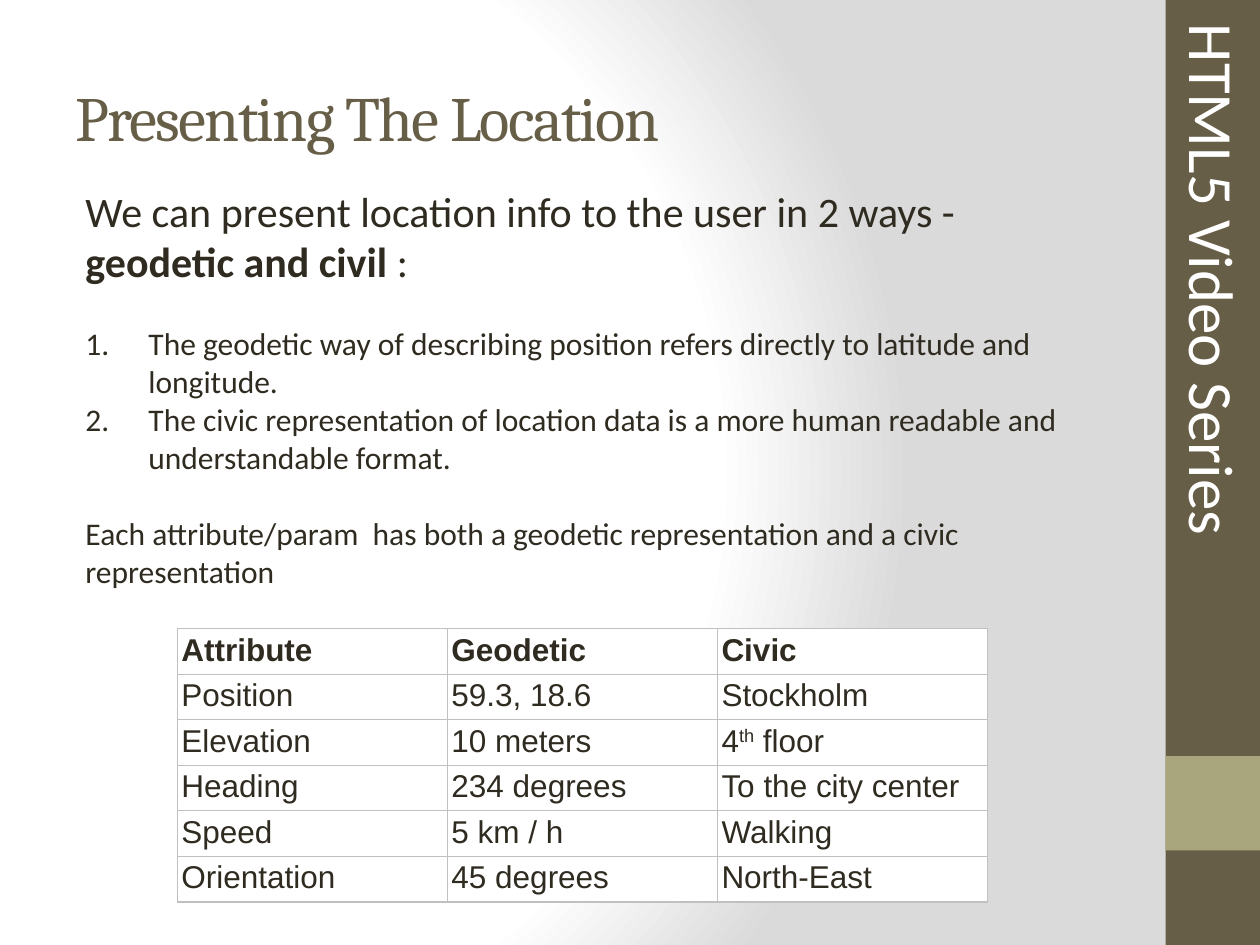
from lxml.etree import SubElement
from pptx import Presentation
from pptx.dml.color import RGBColor
from pptx.enum.shapes import MSO_SHAPE
from pptx.enum.text import MSO_ANCHOR, PP_ALIGN
from pptx.oxml import parse_xml
from pptx.oxml.ns import nsdecls, qn
from pptx.util import Inches, Pt

WIDE, HIGH = 10, 7.5
BAR = 0.075 * WIDE
BROWN, OLIVE, INK, WHITE, GREY = "675E47", "A9A57C", "2F2B20", "FFFFFF", "C0C0C0"
TITLE = "Presenting The Location"
SIDE = "HTML5 Video Series"
GAP = 22
BODY = [
    ([("We can present location info to the user in 2 ways - ", False),
      ("geodetic and civil ", True), (":", False)], 24, 0, False),
    ([("The geodetic way of describing position refers directly to latitude "
       "and longitude.", False)], 18, GAP, True),
    ([("The civic representation of location data is a more human readable "
       "and understandable format.", False)], 18, 0, True),
    ([("Each attribute/param  has both a geodetic representation and a civic "
       "representation", False)], 18, GAP, False),
]
ROWS = [
    ("Attribute", "Geodetic", "Civic"),
    ("Position", "59.3, 18.6", "Stockholm"),
    ("Elevation", "10 meters", ("4", "th", "\u00a0floor".replace("\u00a0", " "))),
    ("Heading", "234 degrees", "To the city center"),
    ("Speed", "5 km / h", "Walking"),
    ("Orientation", "45 degrees", "North-East"),
]
STOPS = [(0, WHITE), (75, WHITE), (100, "DADADA")]


def paint(fill, tone):
    fill.solid()
    fill.fore_color.rgb = RGBColor.from_string(tone)


def style(font, name, size, tone, bold=False):
    font.name, font.size, font.bold = name, Pt(size), bold
    font.color.rgb = RGBColor.from_string(tone)


def back(slide):
    fill = slide.background.fill
    fill.gradient()
    old = slide._element.find(".//" + qn("a:gradFill"))
    stops = "".join(f'<a:gs pos="{pos * 1000}"><a:srgbClr val="{tone}"/></a:gs>'
                    for pos, tone in STOPS)
    old.getparent().replace(old, parse_xml(
        f'<a:gradFill {nsdecls("a")} rotWithShape="1"><a:gsLst>{stops}</a:gsLst>'
        '<a:path path="circle"><a:fillToRect l="20000" t="50000" r="100000" '
        'b="50000"/></a:path></a:gradFill>'))


def block(slide, top, high, tone):
    box = slide.shapes.add_shape(MSO_SHAPE.RECTANGLE, Inches(WIDE - BAR),
                                 Inches(top), Inches(BAR), Inches(high))
    box.shadow.inherit = False
    paint(box.fill, tone)
    box.line.fill.background()


def head(slide):
    box = slide.shapes.title
    box.left, box.top, box.width, box.height = map(Inches, (0.5, 0.3, 8.33, 1.25))
    box.text_frame.text = TITLE
    box.text_frame.vertical_anchor = MSO_ANCHOR.MIDDLE
    para = box.text_frame.paragraphs[0]
    para.alignment = PP_ALIGN.LEFT
    style(para.font, "Cambria", 36, BROWN)
    para.runs[0]._r.get_or_add_rPr().set("spc", "-100")


def side(slide):
    box = slide.shapes.add_textbox(*map(Inches, (7.49, 1.88, 4.29, 0.71)))
    box.rotation = 90
    box.text_frame.word_wrap = False
    box.text_frame.text = SIDE
    style(box.text_frame.paragraphs[0].font, "Calibri", 36, WHITE)


def body(slide):
    box = slide.shapes.add_textbox(*map(Inches, (0.58, 1.42, 8.33, 3.33)))
    frame = box.text_frame
    frame.word_wrap = True
    for num, (parts, size, gap, listed) in enumerate(BODY):
        para = frame.add_paragraph() if num else frame.paragraphs[0]
        para.space_before = Pt(gap)
        if listed:
            props = para._p.get_or_add_pPr()
            props.set("marL", str(Inches(0.5)))
            props.set("indent", str(-Inches(0.5)))
            SubElement(props, qn("a:buFont"), typeface="+mj-lt")
            SubElement(props, qn("a:buAutoNum"), type="arabicPeriod")
        for text, bold in parts:
            run = para.add_run()
            run.text = text
            style(run.font, "Calibri", size, INK, bold)


def edge(cell):
    props = cell._tc.get_or_add_tcPr()
    for spot, name in enumerate(("lnL", "lnR", "lnT", "lnB")):
        props.insert(spot, parse_xml(
            f'<a:{name} {nsdecls("a")} w="{Pt(0.75)}"><a:solidFill>'
            f'<a:srgbClr val="{GREY}"/></a:solidFill></a:{name}>'))


def grid(slide):
    table = slide.shapes.add_table(len(ROWS), len(ROWS[0]), *map(
        Inches, (1.41, 4.99, 6.43, 2.17))).table
    for r, row in enumerate(ROWS):
        for c, text in enumerate(row):
            cell = table.cell(r, c)
            paint(cell.fill, WHITE)
            edge(cell)
            cell.margin_left = cell.margin_right = Inches(0.03)
            cell.margin_top = cell.margin_bottom = Inches(0.03)
            para = cell.text_frame.paragraphs[0]
            style(para.font, "Arial", 18, INK, r == 0)
            parts = (text,) if isinstance(text, str) else text
            for num, part in enumerate(parts):
                run = para.add_run()
                run.text = part
                if num == 1:
                    run._r.get_or_add_rPr().set("baseline", "30000")


def main():
    deck = Presentation()
    deck.slide_width, deck.slide_height = Inches(WIDE), Inches(HIGH)
    slide = deck.slides.add_slide(deck.slide_layouts[5])
    back(slide)
    block(slide, 0, HIGH, BROWN)
    block(slide, 0.8 * HIGH, BAR, OLIVE)
    head(slide)
    side(slide)
    body(slide)
    grid(slide)
    deck.save("out.pptx")


if __name__ == "__main__":
    main()
